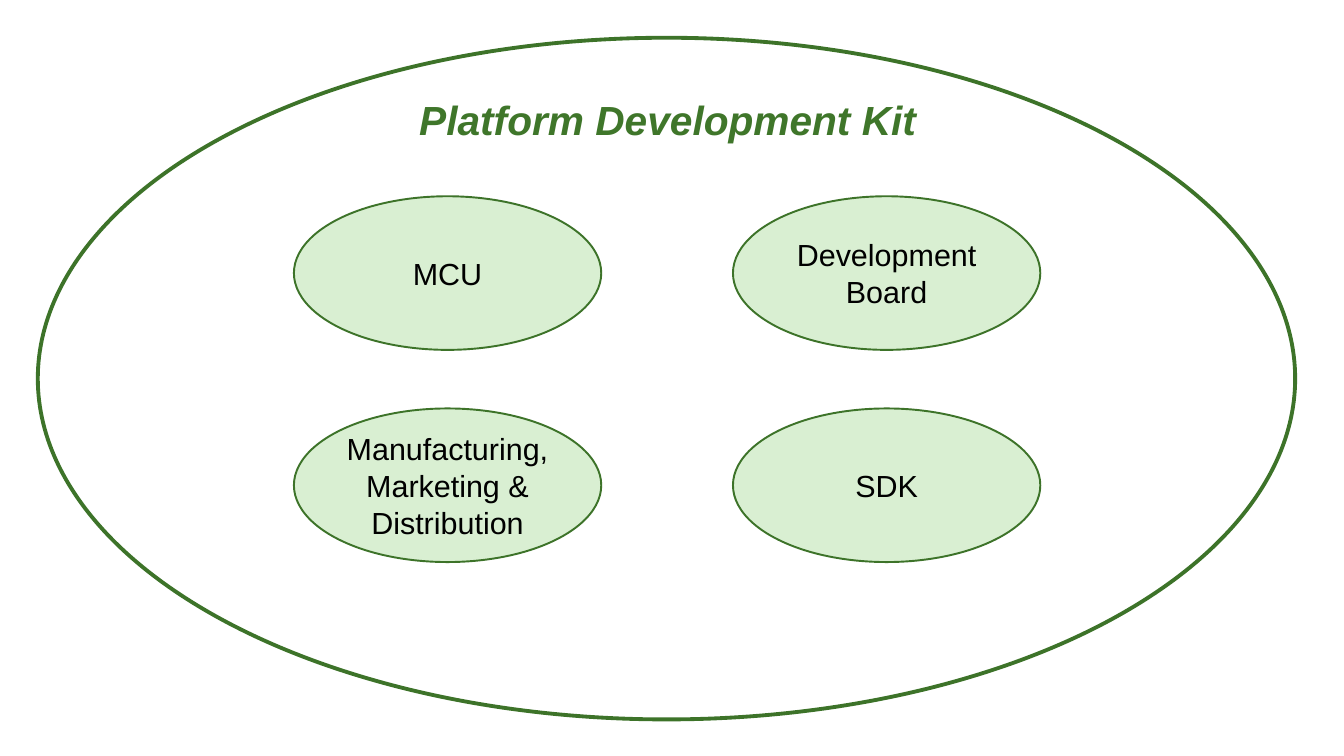
import pptx
import pptx.dml.color
import pptx.enum.shapes
import pptx.enum.text
import pptx.util
from pptx.util import Inches

GREEN = "3D7329"
TITLE_GREEN = "3F762A"
PALE_GREEN = "D9EFD2"
BLACK = "000000"

PARTS = [
    ["MCU", "Development\nBoard"],
    ["Manufacturing,\nMarketing &\nDistribution", "SDK"],
]
LEFT, TOP = 2.41, 1.61
COLUMN_STEP, ROW_STEP = 3.6, 1.74
PART_WIDTH, PART_HEIGHT = 2.52, 1.26


def rgb(value):
    """Return the colour for a hex string."""
    return pptx.dml.color.RGBColor.from_string(value)


def set_text(sp, text, size, color, bold=False, italic=False):
    """Put centred, formatted text in a shape."""
    tf = sp.text_frame
    tf.vertical_anchor = pptx.enum.text.MSO_ANCHOR.MIDDLE
    p = tf.paragraphs[0]
    p.text = text
    p.alignment = pptx.enum.text.PP_ALIGN.CENTER
    for r in p.runs:
        r.font.name = "Arial"
        r.font.size = pptx.util.Pt(size)
        r.font.bold = bold
        r.font.italic = italic
        r.font.color.rgb = rgb(color)


def add_title(s, text, left, top, width, height):
    """Place and format the title placeholder."""
    sp = s.shapes.title
    sp.left, sp.top = Inches(left), Inches(top)
    sp.width, sp.height = Inches(width), Inches(height)
    set_text(sp, text, 24, TITLE_GREEN, bold=True, italic=True)
    sp.text_frame.word_wrap = True
    sp.text_frame.auto_size = pptx.enum.text.MSO_AUTO_SIZE.NONE


def add_ellipse(s, left, top, width, height, line_width, fill=None):
    """Add a green-outlined ellipse, hollow unless a fill is given."""
    sp = s.shapes.add_shape(
        pptx.enum.shapes.MSO_SHAPE.OVAL,
        Inches(left), Inches(top), Inches(width), Inches(height))
    sp.shadow.inherit = False
    if fill:
        sp.fill.solid()
        sp.fill.fore_color.rgb = rgb(fill)
    else:
        sp.fill.background()
    sp.line.color.rgb = rgb(GREEN)
    sp.line.width = pptx.util.Pt(line_width)
    return sp


def add_part(s, text, row, column):
    """Add one labelled part of the kit at its place in the grid."""
    sp = add_ellipse(s, LEFT + column * COLUMN_STEP, TOP + row * ROW_STEP,
                     PART_WIDTH, PART_HEIGHT, 1.13, PALE_GREEN)
    set_text(sp, text, 18, BLACK)
    tf = sp.text_frame
    tf.word_wrap = False
    tf.margin_left = tf.margin_right = Inches(0.11)
    tf.margin_top = tf.margin_bottom = Inches(0.06)


def main():
    """Build and save the slide."""
    prs = pptx.Presentation()
    prs.slide_width, prs.slide_height = Inches(11.02), Inches(6.2)
    s = prs.slides.add_slide(prs.slide_layouts.get_by_name("Title Only"))
    add_title(s, "Platform Development Kit", 3.27, 0.56, 4.41, 0.84)
    add_ellipse(s, 0.31, 0.31, 10.31, 5.59, 2.27)
    for row, labels in enumerate(PARTS):
        for column, text in enumerate(labels):
            add_part(s, text, row, column)
    prs.save("out.pptx")


if __name__ == "__main__":
    main()
